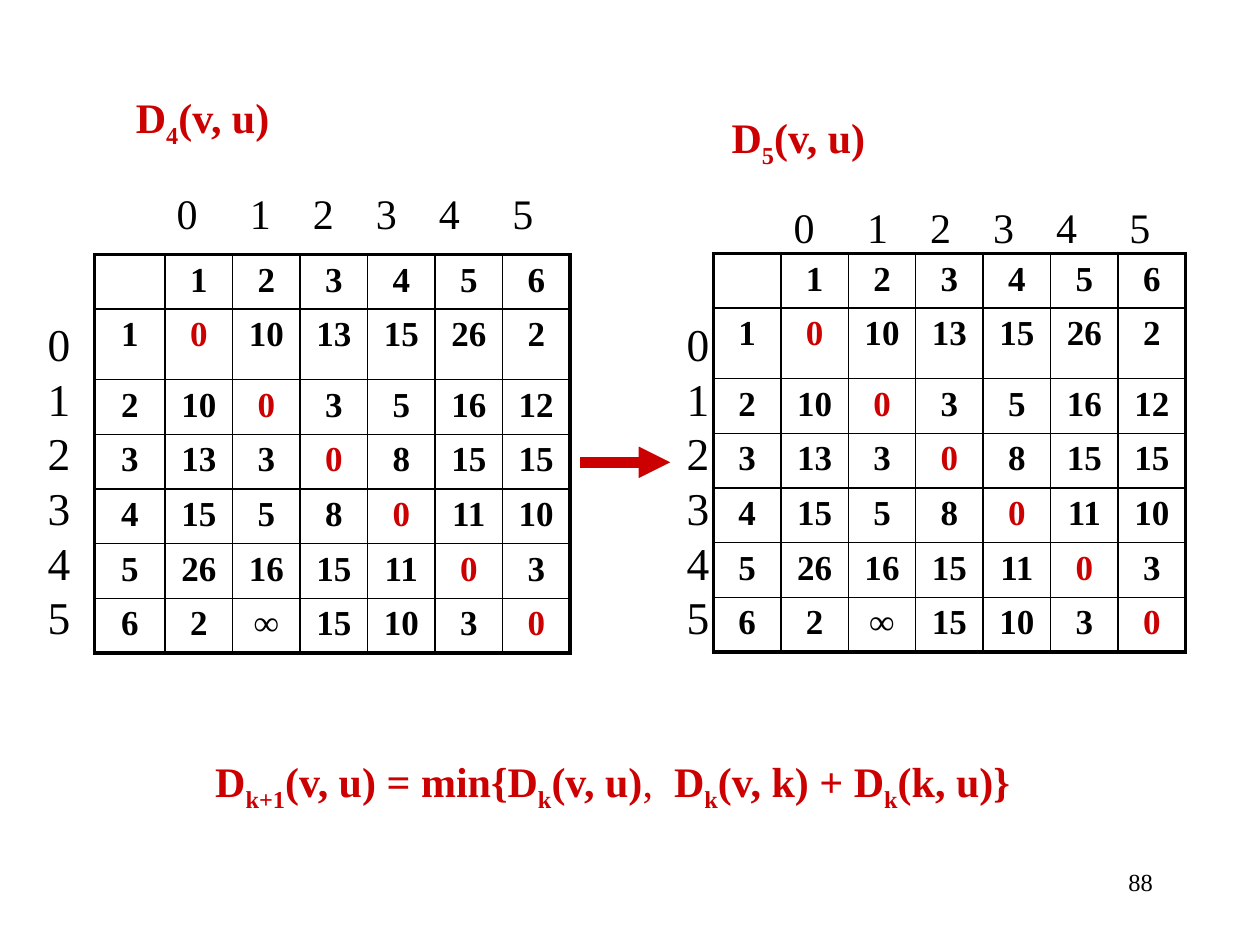
from lxml import etree
from pptx import Presentation
from pptx.dml.color import RGBColor
from pptx.enum.shapes import MSO_CONNECTOR
from pptx.enum.text import MSO_AUTO_SIZE, PP_ALIGN
from pptx.oxml.ns import qn
from pptx.util import Cm, Pt

LINE = MSO_CONNECTOR.STRAIGHT
GROW = MSO_AUTO_SIZE.SHAPE_TO_FIT_TEXT
LEFT, MID, RIGHT = PP_ALIGN.LEFT, PP_ALIGN.CENTER, PP_ALIGN.RIGHT
RED = RGBColor(0xCC, 0x00, 0x00)
BLACK = RGBColor(0x00, 0x00, 0x00)
FONT = "Times New Roman"
THIN, THICK = Pt(1), Pt(2.25)
ROWS = [
    ["", "1", "2", "3", "4", "5", "6"],
    ["1", "0", "10", "13", "15", "26", "2"],
    ["2", "10", "0", "3", "5", "16", "12"],
    ["3", "13", "3", "0", "8", "15", "15"],
    ["4", "15", "5", "8", "0", "11", "10"],
    ["5", "26", "16", "15", "11", "0", "3"],
    ["6", "2", "∞", "15", "10", "3", "0"],
]
TABS = [1.48, 2.75, 4.02, 5.29, 6.77]
LAST = len(ROWS) - 1


def style(para, size, color=BLACK, bold=False, align=LEFT):
    para.alignment = align
    font = para.font
    font.name, font.size, font.bold = FONT, Pt(size), bold
    font.color.rgb = color


def add_text(x, y, w, h, parts):
    box = slide.shapes.add_textbox(Cm(x), Cm(y), Cm(w), Cm(h))
    frame = box.text_frame
    frame.word_wrap = True
    frame.auto_size = GROW
    para = frame.paragraphs[0]
    for num, part in enumerate(parts):
        run = para.add_run()
        run.text = part
        if num % 2:
            run._r.get_or_add_rPr().set("baseline", "-25000")
    return frame


prs = Presentation()
prs.slide_width, prs.slide_height = Cm(25.4), Cm(19.05)
slide = prs.slides.add_slide(prs.slide_layouts[6])

heads = [(2.49, 1.73, "4"), (14.5, 2.13, "5")]
for x, y, step in heads:
    frame = add_text(x, y, 9.73, 1.27, ["D", step, "(v, u)"])
    style(frame.paragraphs[0], 24, RED, True)

for x, y in [(3.1, 3.66), (15.54, 3.94)]:
    frame = add_text(x, y, 8.33, 1.27, ["0\t1\t2\t3\t4\t5"])
    frame.margin_left = Cm(0.46)
    para = frame.paragraphs[0]
    stops = etree.SubElement(para._p.get_or_add_pPr(), qn("a:tabLst"))
    for pos in TABS:
        etree.SubElement(stops, qn("a:tab"), pos=str(Cm(pos)), algn="l")
    style(para, 24)

for x in (0.71, 13.59):
    frame = add_text(x, 6.25, 2.11, 6.86, [])
    frame.text = "\n".join("012345")
    for para in frame.paragraphs:
        style(para, 26)
        para.line_spacing = Pt(31.2)

arrow = slide.shapes.add_connector(LINE, Cm(11.7), Cm(9.32), Cm(13.51), Cm(9.32))
arrow.line.color.rgb = RED
arrow.line.width = Pt(6)
etree.SubElement(arrow.line._get_or_add_ln(), qn("a:tailEnd"), type="triangle")
etree.SubElement(arrow._element.spPr, qn("a:effectLst"))

for x, y, first in [(1.91, 5.13, 1.42), (14.38, 5.11, 1.36)]:
    wide, high = first + 6 * 1.36, 1.42 + 6 * 1.1
    table = slide.shapes.add_table(7, 7, Cm(x), Cm(y), Cm(wide), Cm(high)).table
    table.first_row = table.horz_banding = False
    for num in range(7):
        table.columns[num].width = Cm(1.36 if num else first)
        table.rows[num].height = Cm(1.42 if num == 1 else 1.1)
    for row, words in enumerate(ROWS):
        for col, word in enumerate(words):
            cell = table.cell(row, col)
            cell.text = word
            color = RED if word == "0" else BLACK
            style(cell.text_frame.paragraphs[0], 20, color, True, MID)
            props = cell._tc.get_or_add_tcPr()
            edges = {"L": col == 0, "R": col == LAST, "T": row == 0, "B": row == LAST}
            for side, outer in edges.items():
                width = THICK if outer else THIN
                edge = etree.SubElement(props, qn("a:ln" + side), w=str(width))
                fill = etree.SubElement(edge, qn("a:solidFill"))
                etree.SubElement(fill, qn("a:srgbClr"), val=str(BLACK))
            cell.fill.background()

parts = ["D", "k+1", "(v, u) = min{D", "k", "(v, u)", "", ",  ", "", "D", "k",
         "(v, k) + D", "k", "(k, u)}"]
frame = add_text(4.09, 15.11, 16.92, 1.27, parts)
para = frame.paragraphs[0]
style(para, 24, RED, True)
for run in para.runs:
    if not run.text:
        para._p.remove(run._r)
    elif run.text == ",  ":
        run.font.bold = False

frame = add_text(18.21, 17.35, 5.28, 1.27, ["88"])
style(frame.paragraphs[0], 14, align=RIGHT)

prs.save("out.pptx")
